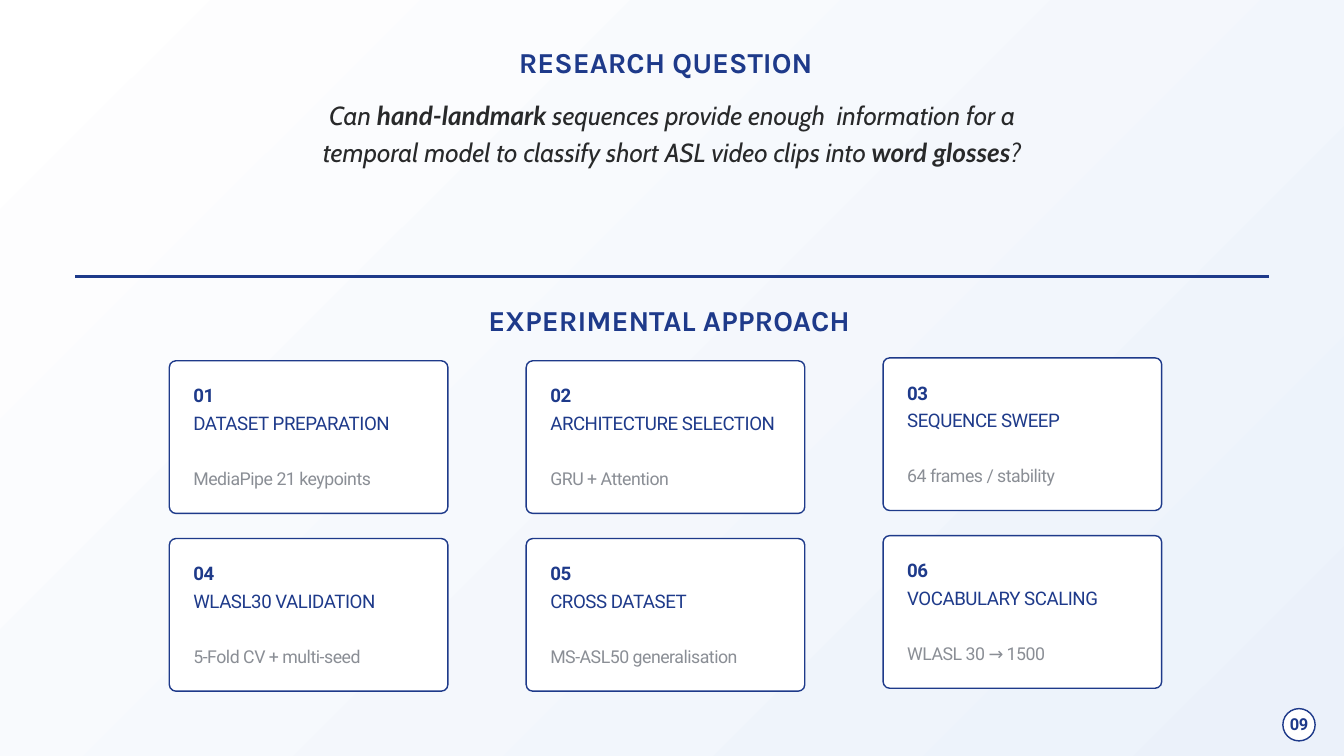
from dataclasses import dataclass

from lxml.etree import SubElement
from pptx import Presentation
from pptx.dml.color import RGBColor
from pptx.enum.shapes import MSO_CONNECTOR, MSO_SHAPE
from pptx.enum.text import MSO_AUTO_SIZE, PP_ALIGN
from pptx.oxml.ns import qn
from pptx.util import Cm, Pt


@dataclass(frozen=True)
class Theme:
    navy: RGBColor = RGBColor(0x1E, 0x3A, 0x8A)
    ink: RGBColor = RGBColor(0x28, 0x29, 0x2A)
    grey: RGBColor = RGBColor(0x8A, 0x8E, 0x95)
    white: RGBColor = RGBColor(0xFF, 0xFF, 0xFF)
    pale_blue: RGBColor = RGBColor(0xEB, 0xF1, 0xFA)
    heading: float = 31
    question: float = 28
    label: float = 20
    detail: float = 19
    page: float = 17.6


THEME = Theme()

presentation = Presentation()
presentation.slide_width, presentation.slide_height = Cm(50.8), Cm(28.58)
slide = presentation.slides.add_slide(presentation.slide_layouts[6])

background = slide.background.fill
background.gradient()
background.gradient_angle = 315
for stop, color in zip(background.gradient_stops, (THEME.white, THEME.pale_blue)):
    stop.color.rgb = color


def add_text(text, left, top, width, height, *, size, leading, color=THEME.navy,
             font="Roboto", bold_font=None, bold=False, italic=False,
             align=PP_ALIGN.LEFT, spacing=0):
    """Place one paragraph (cm); with bold_font, parts between ** are bold."""
    box = slide.shapes.add_textbox(Cm(left), Cm(top), Cm(width), Cm(height))
    frame = box.text_frame
    frame.margin_left = frame.margin_right = frame.margin_top = frame.margin_bottom = 0
    frame.word_wrap = True
    frame.auto_size = MSO_AUTO_SIZE.SHAPE_TO_FIT_TEXT
    paragraph = frame.paragraphs[0]
    paragraph.alignment = align
    paragraph.line_spacing = Pt(leading)
    for index, part in enumerate(text.split("**")):
        emphasised = index % 2 == 1
        run = paragraph.add_run()
        run.text = part
        run.font.name = bold_font if emphasised else font
        run.font.size = Pt(size)
        run.font.bold = bold or emphasised
        run.font.italic = italic
        run.font.color.rgb = color
        if spacing:
            run.font._element.set("spc", str(int(spacing * 100)))


def add_panel(kind, left, top, width, height):
    """Add a white shape with a navy outline (cm)."""
    panel = slide.shapes.add_shape(kind, Cm(left), Cm(top), Cm(width), Cm(height))
    panel.shadow.inherit = False
    panel.fill.solid()
    panel.fill.fore_color.rgb = THEME.white
    panel.line.color.rgb = THEME.navy
    panel.line.width = Pt(1.5)
    return panel


# Research question
heading_format = dict(size=THEME.heading, leading=43.4, font="Karla", bold=True,
                      align=PP_ALIGN.CENTER)
add_text("Can **hand-landmark** sequences provide enough  information for a temporal "
         "model to classify short ASL video clips into **word glosses**?",
         11.89, 3.56, 27.03, 4.09, size=THEME.question, leading=39.2, color=THEME.ink,
         font="Cabin", bold_font="Lato", italic=True, align=PP_ALIGN.CENTER)
add_text("RESEARCH QUESTION", 18.92, 1.45, 12.47, 1.42, **heading_format)

divider = slide.shapes.add_connector(MSO_CONNECTOR.STRAIGHT,
                                     Cm(2.84), Cm(10.46), Cm(47.96), Cm(10.46))
divider.line.color.rgb = THEME.navy
divider.line.width = Pt(3)
SubElement(divider._element.spPr, qn("a:effectLst"))

# Experimental approach
add_text("EXPERIMENTAL APPROACH", 17.96, 11.23, 14.66, 1.45, **heading_format)

steps = [
    ("DATASET PREPARATION", "MediaPipe 21 keypoints"),
    ("ARCHITECTURE SELECTION", "GRU + Attention"),
    ("SEQUENCE SWEEP", "64 frames / stability"),
    ("WLASL30 VALIDATION", "5-Fold CV + multi-seed"),
    ("CROSS DATASET", "MS-ASL50 generalisation"),
    ("VOCABULARY SCALING", "WLASL 30 → 1500"),
]
COLUMNS = 3
CARD_WIDTH, CARD_HEIGHT = 10.53, 5.77
COLUMN_PITCH, ROW_PITCH = 13.49, 6.72
LAST_COLUMN_RAISE = 0.11
CORNER_RADIUS = 0.25

for index, (title, detail) in enumerate(steps):
    row, column = divmod(index, COLUMNS)
    left = 6.4 + column * COLUMN_PITCH
    top = 13.64 + row * ROW_PITCH
    if column == COLUMNS - 1:
        top -= LAST_COLUMN_RAISE
    card = add_panel(MSO_SHAPE.ROUNDED_RECTANGLE, left, top, CARD_WIDTH, CARD_HEIGHT)
    card.adjustments[0] = CORNER_RADIUS / CARD_HEIGHT
    text_left = left + 0.91
    add_text(title, text_left, top + 1.83, 8.6, 0.94,
             size=THEME.label, leading=27.2, spacing=-0.5)
    add_text(f"{index + 1:02}", text_left, top + 0.89, 7.09, 0.86,
             size=THEME.label, leading=24, bold=True, spacing=-0.5)
    add_text(detail, text_left, top + 3.95, 8.15, 0.86,
             size=THEME.detail, leading=25.8, color=THEME.grey, spacing=-0.5)

# Page number
add_panel(MSO_SHAPE.OVAL, 48.49, 26.79, 1.22, 1.22)
add_text("09", 48.49, 27.18, 1.22, 0.58, size=THEME.page, leading=15.9,
         bold=True, align=PP_ALIGN.CENTER, spacing=-0.5)

presentation.save("out.pptx")
